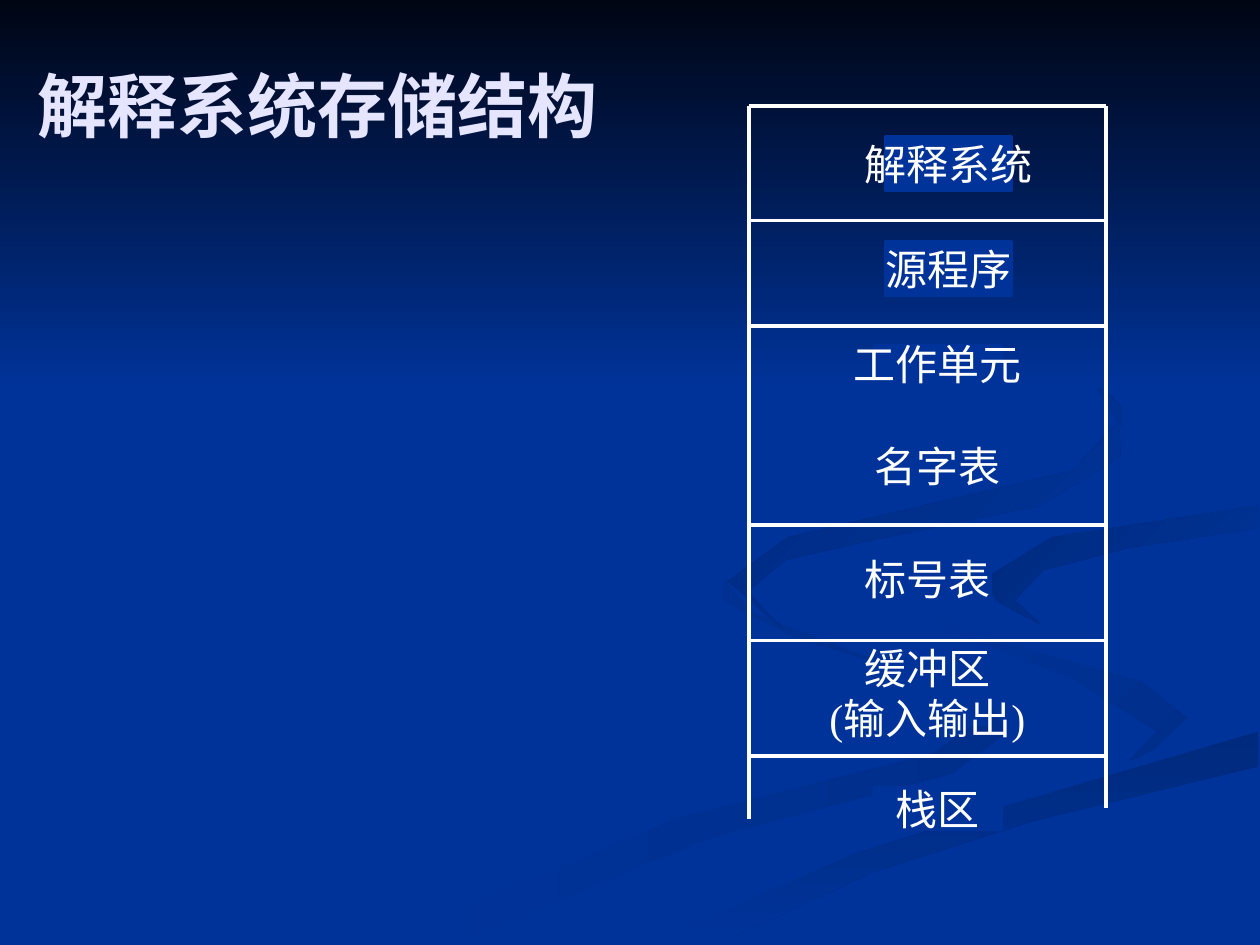
"""Build the slide on the storage structure of an interpreter system."""
from typing import NamedTuple

from lxml.etree import SubElement
from pptx import Presentation
from pptx.dml.color import RGBColor
from pptx.enum.shapes import MSO_CONNECTOR, MSO_SHAPE
from pptx.enum.text import MSO_ANCHOR, PP_ALIGN
from pptx.oxml.ns import qn
from pptx.util import Pt

BLUE = RGBColor(0x00, 0x33, 0x99)
WHITE = RGBColor(0xFF, 0xFF, 0xFF)
LAVENDER = RGBColor(0xE5, 0xE5, 0xFF)
NIGHT = RGBColor(0x00, 0x05, 0x14)
SHADE = RGBColor(0x00, 0x2E, 0x8B)
DARK_SHADE = RGBColor(0x00, 0x2A, 0x7D)

FONT = "Times New Roman"
TITLE_FORMAT = {"name": FONT, "size": Pt(40), "bold": True}
CELL_FORMAT = {"name": FONT, "size": Pt(24), "bold": False}
LINE_WIDTH = 2.25
LEFT, RIGHT, TOP = 428, 632, 60.5
ROW_TOPS = (TOP, 126, 186.5, 300, 366, 432)


class Swirl(NamedTuple):
    start: RGBColor
    end: RGBColor
    angle: int
    points: tuple


class Cell(NamedTuple):
    x: float
    y: float
    height: float
    lines: tuple
    gap: float = 0


SWIRLS = (
    Swirl(BLUE, SHADE, 0, (
        (562, 398), (491, 374), (428, 349), (414, 330), (412, 343), (454, 364),
        (541, 391), (566, 408), (532, 431), (388, 467), (216, 539), (260, 539),
        (406, 479), (544, 442), (576, 418))),
    Swirl(BLUE, SHADE, 45, (
        (679, 410), (652, 389), (546, 359), (521, 334), (532, 356), (615, 389),
        (661, 418), (644, 436), (678, 419))),
    Swirl(DARK_SHADE, BLUE, 90, (
        (362, 539), (411, 539), (500, 498), (591, 469), (719, 438), (719, 418),
        (598, 453), (454, 499))),
    Swirl(BLUE, BLUE, 0, (
        (522, 334), (546, 359), (652, 389), (679, 410), (656, 432), (535, 463),
        (343, 539), (374, 538), (501, 482), (719, 418), (719, 387), (624, 366),
        (562, 333), (612, 307), (719, 289), (719, 279), (567, 304))),
    Swirl(DARK_SHADE, BLUE, 45, (
        (562, 331), (570, 344), (595, 357), (580, 343), (596, 326), (645, 313),
        (719, 302), (719, 289), (601, 307))),
    Swirl(DARK_SHADE, BLUE, 45, (
        (492, 310), (594, 289), (640, 261), (641, 233), (607, 198), (549, 168),
        (616, 205), (639, 241), (613, 269), (450, 307), (416, 332), (448, 360),
        (427, 338), (449, 320))),
    Swirl(NIGHT, BLUE, 90, ((0, 0), (0, 222), (720, 222), (720, 0))),
)

CELLS = (
    Cell(506, 78.5, 30, ("解释系统",)),
    Cell(506, 138.5, 30, ("源程序",)),
    Cell(500, 198, 78, ("工作单元", "名字表"), 29),
    Cell(494, 312.5, 36, ("标号表",)),
    Cell(494, 378, 36, ("缓冲区", "(输入输出)")),
    Cell(500, 450, 24, ("栈区",)),
)


def draw_swirl(s, swirl: Swirl) -> None:
    """Draw one background outline with its gradient."""
    first, *rest = swirl.points
    builder = s.shapes.build_freeform(*first, scale=Pt(1))
    builder.add_line_segments(rest, close=True)
    sp = builder.convert_to_shape()
    sp.shadow.inherit = False
    sp.line.fill.background()
    if swirl.start == swirl.end:
        sp.fill.solid()
        sp.fill.fore_color.rgb = swirl.start
        return
    sp.fill.gradient()
    sp.fill.gradient_angle = 360 - swirl.angle
    for stop, color, position in zip(sp.fill.gradient_stops, swirl[:2], (0, 1)):
        stop.color.rgb = color
        stop.position = position


def draw_line(s, x1: float, y1: float, x2: float, y2: float) -> None:
    """Draw one white rule of the storage diagram."""
    line = s.shapes.add_connector(
        MSO_CONNECTOR.STRAIGHT, Pt(x1), Pt(y1), Pt(x2), Pt(y2))
    line.line.color.rgb = WHITE
    line.line.width = Pt(LINE_WIDTH)
    SubElement(line._element.spPr, qn("a:effectLst"))


def write_line(p, text: str, formats: dict, color: RGBColor) -> None:
    """Write one formatted run into a paragraph."""
    r = p.add_run()
    r.text = text
    for name, value in formats.items():
        setattr(r.font, name, value)
    r.font.color.rgb = color


def draw_cell(s, cell: Cell) -> None:
    """Draw one labelled block of the storage diagram."""
    sp = s.shapes.add_shape(
        MSO_SHAPE.RECTANGLE, Pt(cell.x), Pt(cell.y), Pt(72), Pt(cell.height))
    sp.shadow.inherit = False
    sp.fill.solid()
    sp.fill.fore_color.rgb = sp.line.color.rgb = BLUE
    sp.line.width = Pt(LINE_WIDTH)
    tf = sp.text_frame
    tf.word_wrap = False
    tf.vertical_anchor = MSO_ANCHOR.MIDDLE
    for i, text in enumerate(cell.lines):
        p = tf.add_paragraph() if i else tf.paragraphs[0]
        p.alignment = PP_ALIGN.CENTER
        if i and cell.gap:
            p.space_before = Pt(cell.gap)
        write_line(p, text, CELL_FORMAT, WHITE)


def draw_title(s, text: str) -> None:
    """Draw the slide title."""
    tf = s.shapes.add_textbox(Pt(14.5), Pt(15), Pt(588), Pt(90)).text_frame
    tf.word_wrap = True
    tf.vertical_anchor = MSO_ANCHOR.MIDDLE
    write_line(tf.paragraphs[0], text, TITLE_FORMAT, LAVENDER)


def main() -> None:
    """Assemble and save the slide."""
    prs = Presentation()
    prs.slide_width, prs.slide_height = Pt(720), Pt(540)
    s = prs.slides.add_slide(prs.slide_layouts[6])
    s.background.fill.solid()
    s.background.fill.fore_color.rgb = BLUE
    for swirl in SWIRLS:
        draw_swirl(s, swirl)
    draw_title(s, "解释系统存储结构")
    for x, bottom in ((LEFT, 468), (RIGHT, 462)):
        draw_line(s, x, TOP, x, bottom)
    for y in ROW_TOPS:
        draw_line(s, LEFT, y, RIGHT, y)
    for cell in CELLS:
        draw_cell(s, cell)
    prs.save("out.pptx")


if __name__ == "__main__":
    main()
